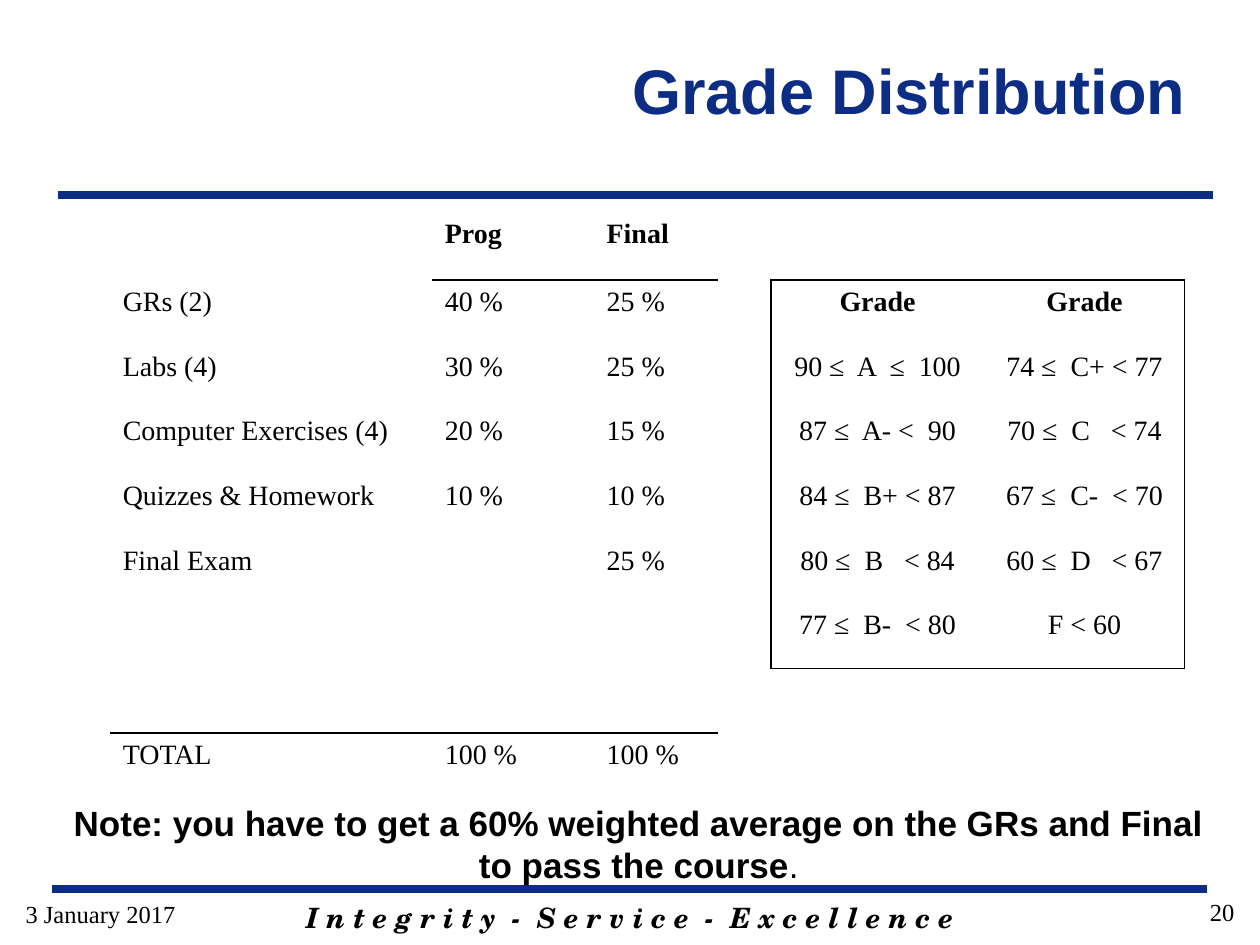
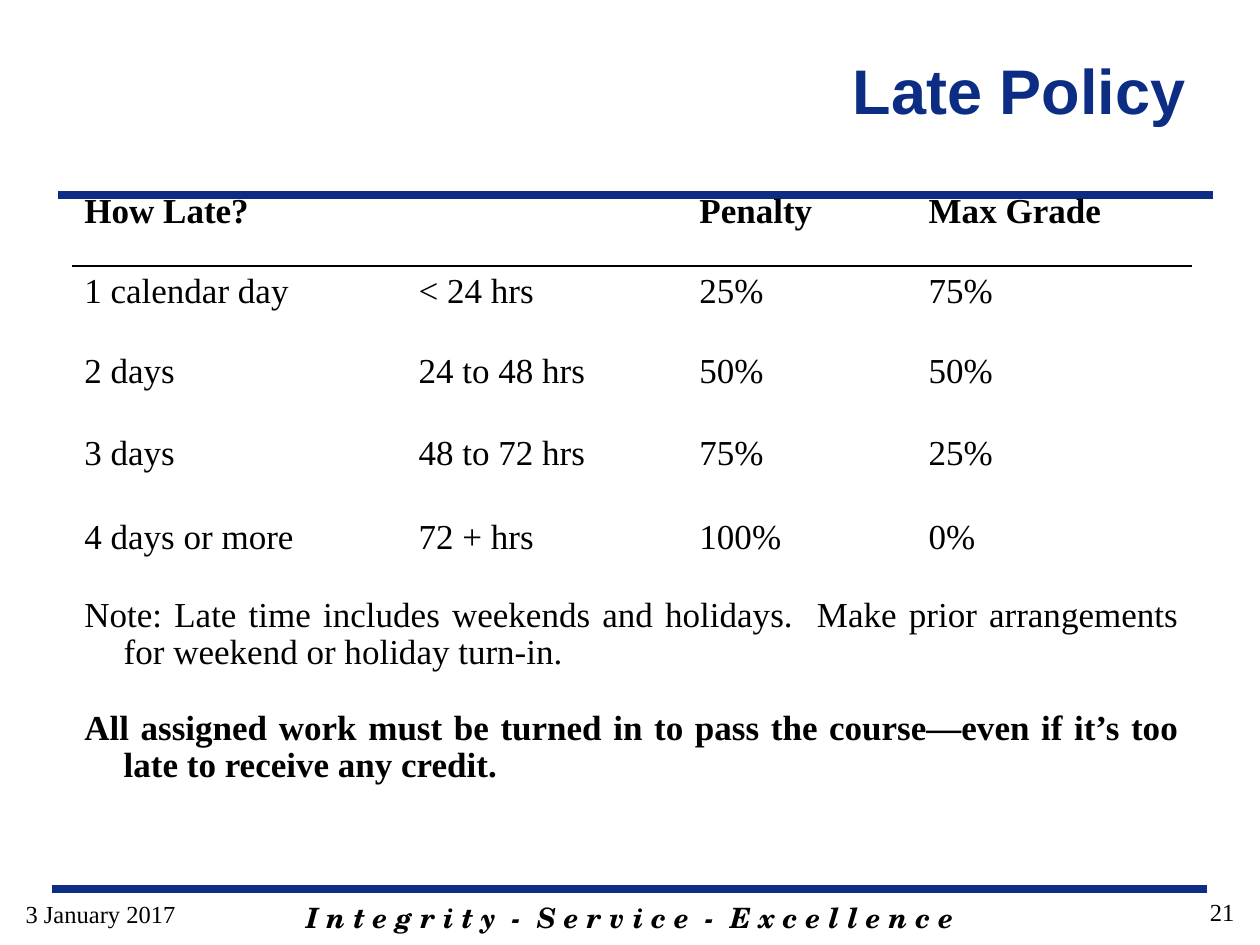
from collections import defaultdict
from dataclasses import dataclass

from lxml import etree
from pptx import Presentation
from pptx.dml.color import RGBColor
from pptx.enum.shapes import MSO_CONNECTOR
from pptx.enum.text import MSO_ANCHOR, PP_ALIGN
from pptx.oxml.ns import qn
from pptx.util import Pt

LEFT, CENTER, RIGHT, JUSTIFY = PP_ALIGN.LEFT, PP_ALIGN.CENTER, PP_ALIGN.RIGHT, PP_ALIGN.JUSTIFY
TOP, MIDDLE = MSO_ANCHOR.TOP, MSO_ANCHOR.MIDDLE
STRAIGHT = MSO_CONNECTOR.STRAIGHT


@dataclass(frozen=True)
class Theme:
    navy: str = "0C2D83"
    black: str = "000000"
    sans: str = "Arial"
    serif: str = "Times New Roman"
    motto_font: str = "TeX Gyre Schola"
    title_size: int = 36
    large_size: int = 20
    table_size: int = 16
    footer_size: int = 14
    rule_width: float = 4.5
    border_width: int = 1
    hanging: float = 22.5


THEME = Theme()
DATE = "3 January 2017"
MOTTO = "I n t e g r i t y  -  S e r v i c e  -  E x c e l l e n c e"

WEIGHTS = [
    ["", "Prog", "Final"],
    ["GRs (2)", "40 %", "25 %"],
    ["Labs (4)", "30 %", "25 %"],
    ["Computer Exercises (4)", "20 %", "15 %"],
    ["Quizzes & Homework", "10 %", "10 %"],
    ["Final Exam", "", "25 %"],
    ["", "", ""],
    ["", "", ""],
    ["TOTAL", "100 %", "100 %"],
]
GRADE_BANDS = [
    ["Grade", "Grade"],
    ["90 ≤  A  ≤  100", "74 ≤  C+ < 77"],
    ["87 ≤  A- <  90", "70 ≤  C   < 74"],
    ["84 ≤  B+ < 87", "67 ≤  C-  < 70"],
    ["80 ≤  B   < 84", "60 ≤  D   < 67"],
    ["77 ≤  B-  < 80", "F < 60"],
]
PENALTIES = [
    ["How Late?", "", "Penalty", "Max Grade"],
    ["1 calendar day", "< 24 hrs", "25%", "75%"],
    ["2 days", "24 to 48 hrs", "50%", "50%"],
    ["3 days", "48 to 72 hrs", "75%", "25%"],
    ["4 days or more", "72 + hrs", "100%", "0%"],
]
WEEKEND_NOTE = ("Note: Late time includes weekends and holidays.  Make prior "
                "arrangements for weekend or holiday turn-in.")
ALL_WORK_NOTE = ("All assigned work must be turned in to pass the course—even if "
                 "it’s too late to receive any credit.")


# Text
def add_run(paragraph, text, size, font, color=THEME.black, bold=False, italic=False):
    run = paragraph.add_run()
    run.text = text
    run.font.size = Pt(size)
    run.font.name = font
    run.font.color.rgb = RGBColor.from_string(color)
    run.font.bold = bold
    run.font.italic = italic


def add_text(slide, left, top, width, height, align=LEFT, anchor=TOP):
    frame = slide.shapes.add_textbox(Pt(left), Pt(top), Pt(width), Pt(height)).text_frame
    frame.word_wrap = True
    frame.vertical_anchor = anchor
    paragraph = frame.paragraphs[0]
    paragraph.alignment = align
    return paragraph


def write_entry(paragraph, text, size, bold=False, align=JUSTIFY):
    paragraph.alignment = align
    if align == JUSTIFY:
        properties = paragraph._p.get_or_add_pPr()
        properties.set("marL", str(Pt(THEME.hanging)))
        properties.set("indent", str(-Pt(THEME.hanging)))
    add_run(paragraph, text, size, THEME.serif, bold=bold)


# Lines shared by all slides
def add_rule(slide, left, right, y):
    rule = slide.shapes.add_connector(STRAIGHT, Pt(left), Pt(y), Pt(right), Pt(y))
    rule.line.color.rgb = RGBColor.from_string(THEME.navy)
    rule.line.width = Pt(THEME.rule_width)
    etree.SubElement(rule._element.spPr, qn("a:effectLst"))


# Table borders
def rule_below(borders, row, columns):
    for column in columns:
        borders[row, column].add("B")
        borders[row + 1, column].add("T")


def rule_right(borders, column, rows):
    for row in rows:
        borders[row, column].add("R")
        borders[row, column + 1].add("L")


def draw_borders(cell, sides):
    properties = cell._tc.get_or_add_tcPr()
    for side in "LRTB":
        line = etree.SubElement(properties, qn(f"a:ln{side}"), w=str(Pt(THEME.border_width)))
        if side in sides:
            fill = etree.SubElement(line, qn("a:solidFill"))
            etree.SubElement(fill, qn("a:srgbClr"), val=THEME.black)
        else:
            etree.SubElement(line, qn("a:noFill"))


def add_plain_table(slide, left, top, widths, heights, borders):
    table = slide.shapes.add_table(
        len(heights), len(widths), Pt(left), Pt(top), Pt(sum(widths)), Pt(sum(heights))).table
    table.first_row = table.horz_banding = False
    for column, width in zip(table.columns, widths):
        column.width = Pt(width)
    for row, height in zip(table.rows, heights):
        row.height = Pt(height)
    for r in range(len(heights)):
        for c in range(len(widths)):
            cell = table.cell(r, c)
            draw_borders(cell, borders[r, c])
            cell.fill.background()
    return table


def fill_cells(table, entries, size, first_row=0, first_column=0, align=JUSTIFY):
    """Write the entries; the first line of them is a bold heading."""
    for r, line in enumerate(entries):
        for c, text in enumerate(line):
            if text:
                cell = table.cell(first_row + r, first_column + c)
                write_entry(cell.text_frame.paragraphs[0], text, size, r == 0, align)


# Slide frame: rules, motto, number, date and title
def add_framed_slide(deck, title, number):
    slide = deck.slides.add_slide(deck.slide_layouts[6])
    add_rule(slide, 30, 690, 508)
    add_rule(slide, 33, 693, 111.5)
    add_run(add_text(slide, 102, 511, 516, 27, CENTER), MOTTO,
            THEME.table_size, THEME.motto_font, bold=True, italic=True)
    add_run(add_text(slide, 544.5, 509, 168, 21, RIGHT), str(number),
            THEME.footer_size, THEME.serif)
    add_run(add_text(slide, 7.5, 510, 168, 21), DATE, THEME.footer_size, THEME.serif)
    add_run(add_text(slide, 150.5, 6, 534, 90, RIGHT, MIDDLE), title,
            THEME.title_size, THEME.sans, THEME.navy, bold=True)
    return slide


def build_grade_distribution(deck):
    slide = add_framed_slide(deck, "Grade Distribution", 20)
    borders = defaultdict(set)
    rule_below(borders, 0, [1, 2, 4, 5])
    rule_below(borders, 6, [4, 5])
    rule_below(borders, 7, [0, 1, 2])
    for column in (3, 5):
        rule_right(borders, column, range(1, 7))
    table = add_plain_table(slide, 63, 121, [184, 92.5, 71, 30, 122, 114.5],
                            [39] + [37] * 8, borders)
    table.cell(0, 3).merge(table.cell(0, 5))
    fill_cells(table, WEIGHTS, THEME.table_size)
    fill_cells(table, GRADE_BANDS, THEME.table_size, 1, 4, CENTER)

    # Passing condition
    condition = add_text(slide, 29, 454.5, 672, 55.5, CENTER)
    add_run(condition, "Note: you have to get a 60% weighted average on the GRs "
            "and Final to pass the course", THEME.large_size, THEME.sans, bold=True)
    add_run(condition, ".", THEME.large_size, THEME.sans)


def build_late_policy(deck):
    slide = add_framed_slide(deck, "Late Policy", 21)
    borders = defaultdict(set)
    rule_below(borders, 0, range(4))
    table = add_plain_table(slide, 41, 106.5, [191, 160.5, 131, 157.5],
                            [45.5, 45.5, 47, 48, 45.5, 175], borders)
    fill_cells(table, PENALTIES, THEME.large_size)

    # Notes across the full width
    table.cell(5, 0).merge(table.cell(5, 3))
    notes = table.cell(5, 0).text_frame
    weekend, all_work = notes.paragraphs[0], notes.add_paragraph()
    write_entry(weekend, WEEKEND_NOTE, THEME.large_size)
    write_entry(all_work, ALL_WORK_NOTE, THEME.large_size, bold=True)
    weekend.line_spacing = all_work.line_spacing = 0.96
    all_work.space_before = Pt(22)


def main():
    deck = Presentation()
    deck.slide_width, deck.slide_height = Pt(720), Pt(540)
    build_grade_distribution(deck)
    build_late_policy(deck)
    deck.save("out.pptx")


if __name__ == "__main__":
    main()
